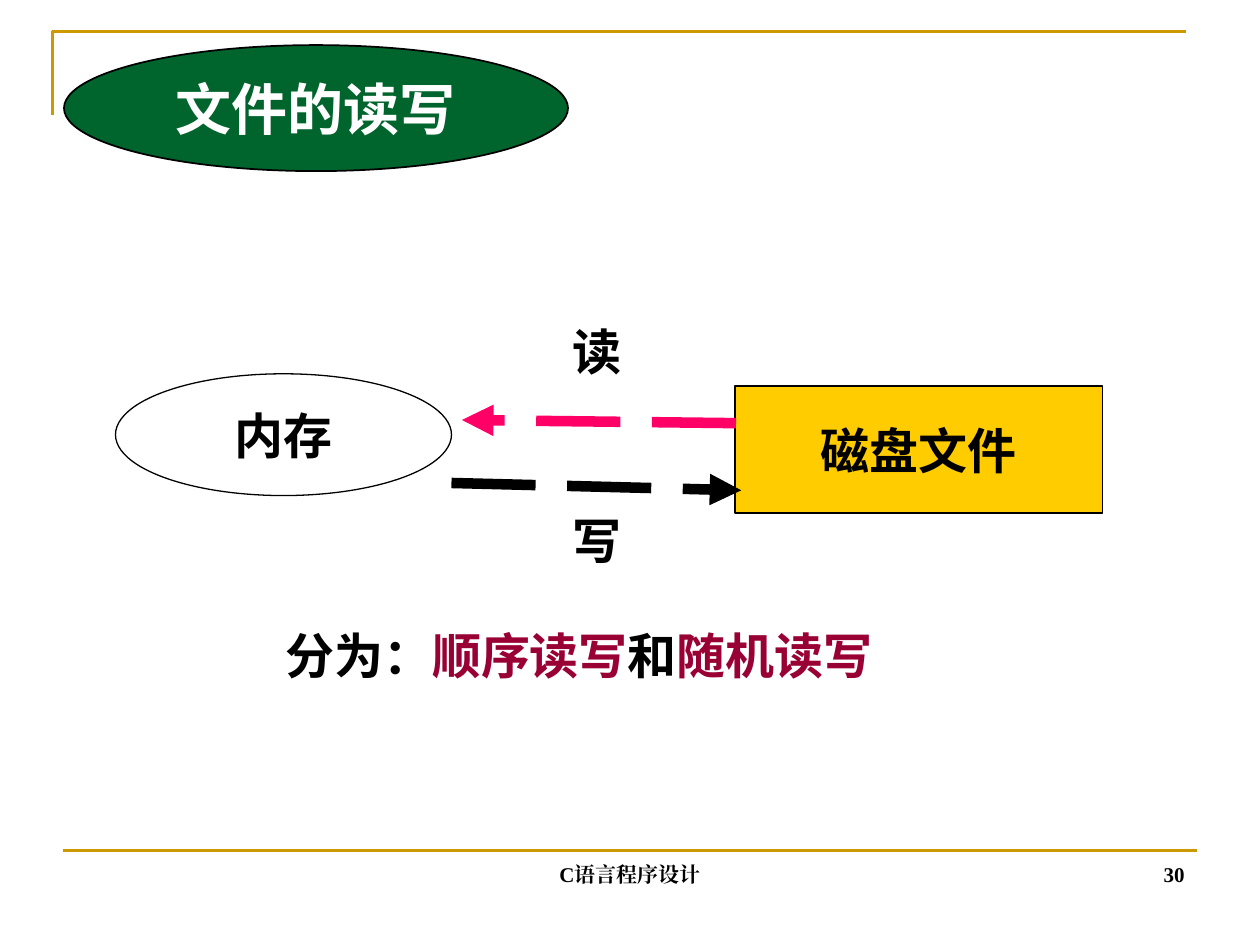
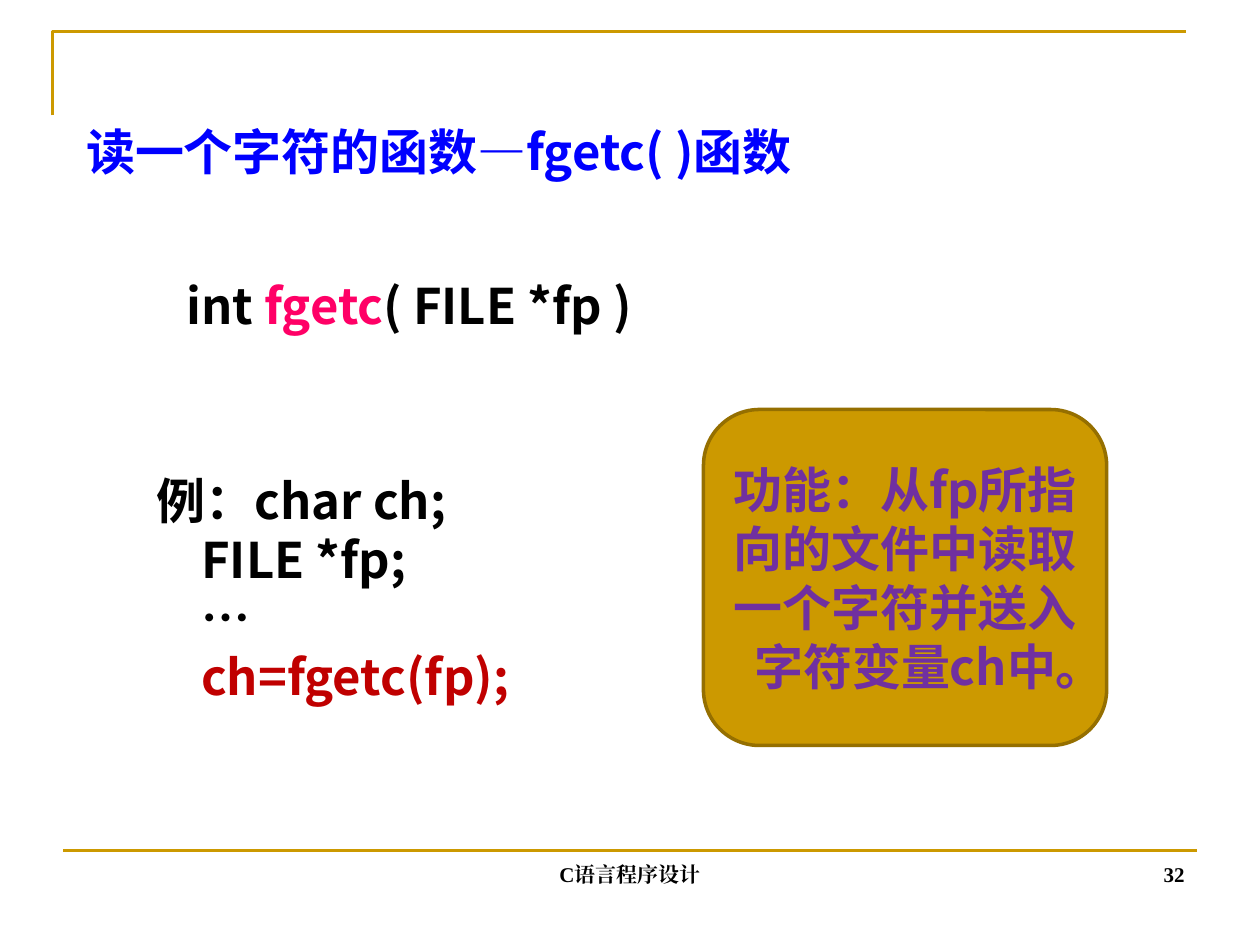
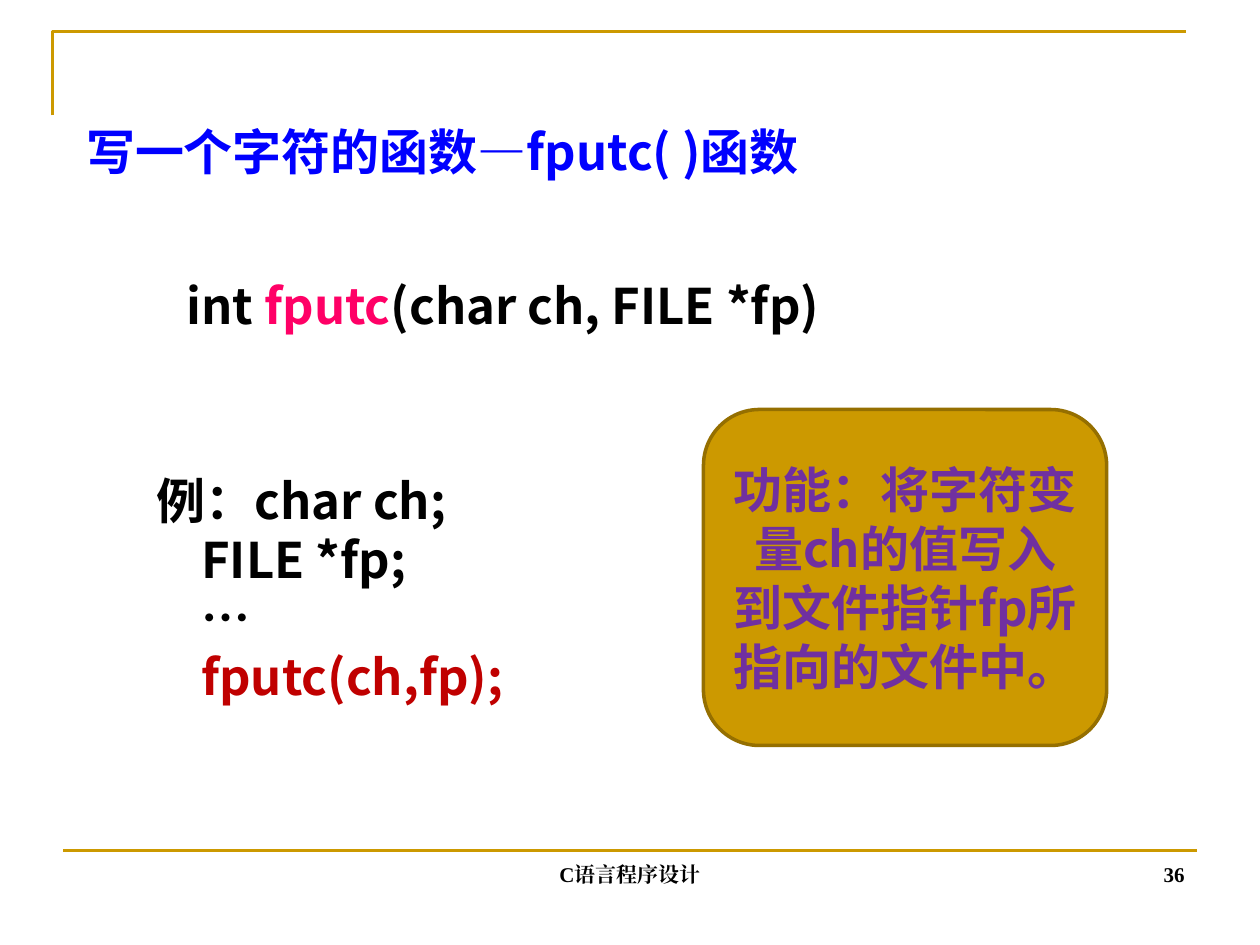
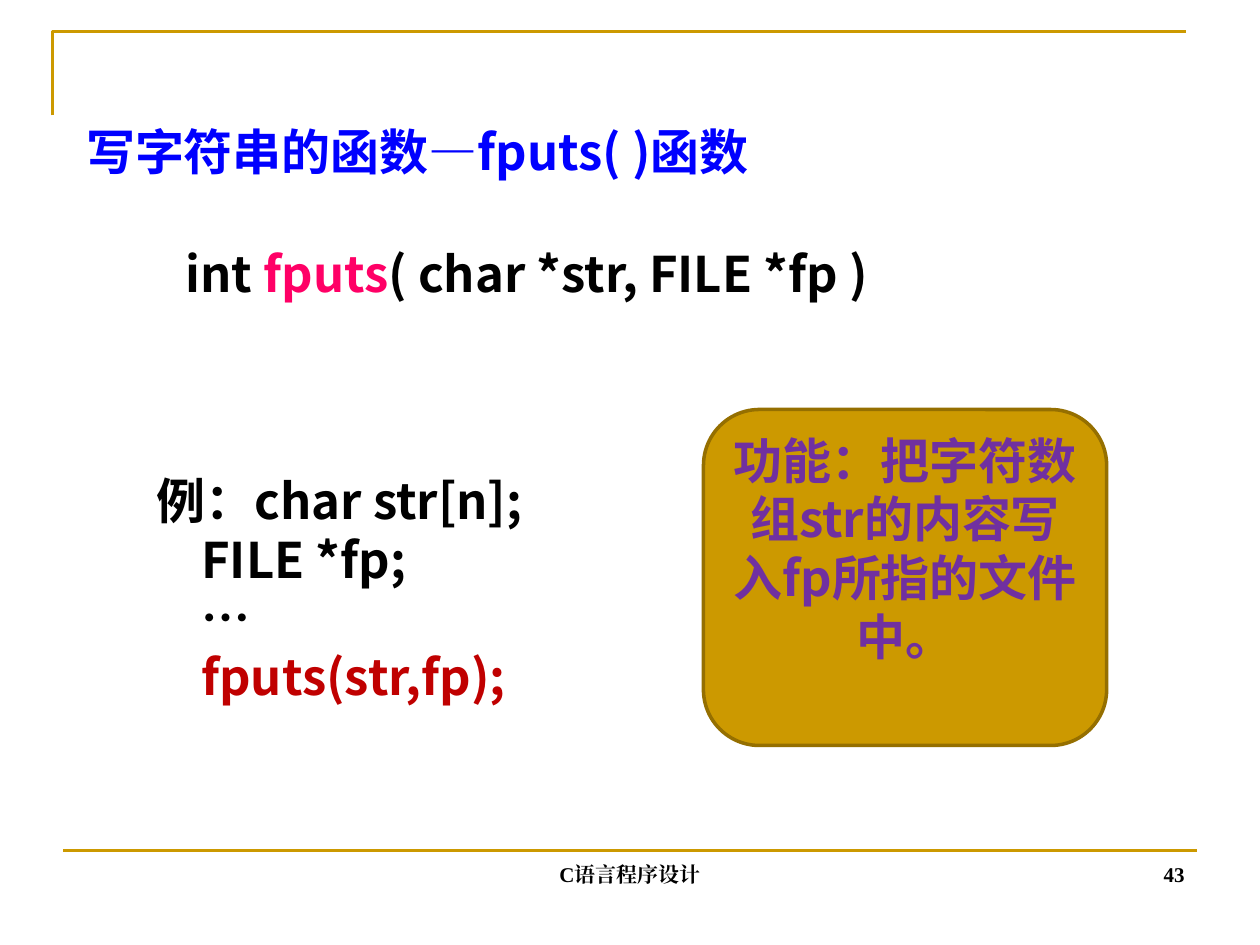
from lxml import etree
from pptx import Presentation, util as u
from pptx.dml.color import RGBColor
from pptx.enum import dml, shapes, text
from pptx.oxml.ns import qn

COLS, ROWS = 120, 90
CELL = u.Inches(10) // COLS
SANS, SONG, ARIAL, ROMAN = "Noto Sans CJK SC", "Noto Sans CJK JP", "Arial", "Times New Roman"
HUE = dict(gold="CC9900", rim="956F00", green="00642D", sun="FFCC00", white="FFFFFF",
           black="000000", pink="FF0066", wine="990033", blue="0000FF", red="C00000",
           plum="7030A0")
KIND = shapes.MSO_SHAPE
LEFT, MID, RIGHT = text.PP_ALIGN.LEFT, text.PP_ALIGN.CENTER, text.PP_ALIGN.RIGHT
TOP, CORE, LOW = text.MSO_ANCHOR.TOP, text.MSO_ANCHOR.MIDDLE, text.MSO_ANCHOR.BOTTOM


def rgb(name):
    """Return the named colour."""
    return RGBColor.from_string(HUE[name])


def cells(*nums):
    """Turn grid cells into lengths."""
    return [u.Emu(round(n * CELL)) for n in nums]


def inside(box, x, y, w, h):
    """Give an area by its offset from a box."""
    return box[0] + x, box[1] + y, w, h


def put(shape, lines, size=28, font=SANS, hue="black", align=LEFT, anchor=CORE, wrap=False):
    """Write lines of text, each a string or a list of (text, colour) runs."""
    frame = shape.text_frame
    frame.word_wrap, frame.vertical_anchor = wrap, anchor
    for i, line in enumerate(lines):
        para = frame.add_paragraph() if i else frame.paragraphs[0]
        para.alignment = align
        for words, tint in [(line, hue)] if isinstance(line, str) else line:
            run = para.add_run()
            run.text = words
            run.font.size, run.font.bold, run.font.name = u.Pt(size), True, font
            run.font.color.rgb = rgb(tint)
            east = etree.SubElement(run.font._element, qn("a:ea"))
            east.set("typeface", font)
    return shape


def shade(shape, fill=None, line=None, width=0.75):
    """Set the fill and outline of a shape."""
    shape.shadow.inherit = False
    if fill:
        shape.fill.solid()
        shape.fill.fore_color.rgb = rgb(fill)
    else:
        shape.fill.background()
    if line:
        shape.line.color.rgb, shape.line.width = rgb(line), u.Pt(width)
    else:
        shape.line.fill.background()
    return shape


def form(slide, kind, box, lines, fill=None, line=None, width=0.75, **fmt):
    """Add a preset shape with text."""
    shape = shade(slide.shapes.add_shape(kind, *cells(*box)), fill, line, width)
    return put(shape, lines, **fmt)


def label(slide, box, lines, **fmt):
    """Add a wrapped text box."""
    return put(slide.shapes.add_textbox(*cells(*box)), lines, wrap=True, **fmt)


def rule(slide, start, end, hue, width, arrow=False):
    """Draw a straight line, or a dashed arrow."""
    link = slide.shapes.add_connector(shapes.MSO_CONNECTOR.STRAIGHT, *cells(*start, *end))
    link.line.color.rgb, link.line.width = rgb(hue), u.Pt(width)
    if arrow:
        link.line.dash_style = dml.MSO_LINE.LONG_DASH
        etree.SubElement(link.line._get_or_add_ln(), qn("a:tailEnd")).set("type", "triangle")
    etree.SubElement(link.element.spPr, qn("a:effectLst"))
    return link


def frame(deck, slide):
    """Draw the shared gold lines and move them to the master."""
    pen = slide.shapes.build_freeform(*cells(5, 11))
    pen.add_line_segments([cells(5, 3), cells(113, 3)], close=False)
    bracket = shade(pen.convert_to_shape(), line="gold", width=1.5)
    base = rule(slide, (6, 81), (114, 81), "gold", 1.5)
    for i, part in enumerate((bracket, base)):
        part.element.xpath(".//p:cNvPr")[0].set("id", str(100 + i))
        deck.slide_master.shapes.element.append(part.element)


def foot(slide, page):
    """Add the course name and page number."""
    fmt = dict(size=12, font=ROMAN, anchor=LOW)
    label(slide, (41, 79, 38, 6), ["C语言程序设计"], align=MID, **fmt)
    label(slide, (86, 79, 28, 6), [str(page)], align=RIGHT, **fmt)


def flow(slide, box):
    """Draw memory and disk file with the read and write arrows."""
    x, y = box[:2]
    fmt = dict(font=ARIAL, align=MID)
    form(slide, KIND.OVAL, inside(box, 0, 5.6, 32, 11.6), ["内存"], "white", "black", **fmt)
    form(slide, KIND.RECTANGLE, inside(box, 59, 6.75, 35, 12.1), ["磁盘文件"],
         "sun", "black", **fmt)
    rule(slide, (x + 32, y + 16), (x + 59.6, y + 16.7), "black", 6, arrow=True)
    rule(slide, (x + 59.1, y + 10.3), (x + 33, y + 10), "pink", 6, arrow=True)
    for word, row in (("读", 0), ("写", 18)):
        label(slide, inside(box, 39.4, row, 13, 6.8), [word], anchor=TOP, **fmt)
    label(slide, inside(box, 15, 29, 79, 6.8),
          [[("分为：", "black"), ("顺序读写", "wine"), ("和", "black"), ("随机读写", "wine")]],
          font=ARIAL, anchor=TOP)


def topic(slide, page):
    """Fill the slide that introduces reading and writing."""
    form(slide, KIND.OVAL, (6.1, 4.3, 48, 12), ["文件的读写"], "green", "black", 1,
         size=32, hue="white", align=MID)
    flow(slide, (11, 30, 94, 36))
    foot(slide, page)


def sample(slide, box, decl, call, use, pad):
    """Show the sample code beside the note on its use."""
    code = [f"例：{decl}", "    FILE *fp;", "    …", [(f"    {call}", "red")]]
    form(slide, KIND.ROUNDED_RECTANGLE, inside(box, 0, 0, 49, 36), code)
    note = form(slide, KIND.ROUNDED_RECTANGLE, inside(box, 55, 1, 38.4, 32), [f"功能：{use}"],
                "gold", "rim", 2, font=SONG, hue="plum", align=MID, wrap=True)
    note.text_frame.margin_bottom = u.Inches(pad)


def lesson(slide, page, task, name, args, decl, call, use, area=(16, 23, 84, 12), pad=0.05):
    """Fill a slide that explains one file function."""
    title = slide.shapes.title
    title.left, title.top, title.width, title.height = cells(7, 11, 86.9, 6.8)
    put(title, [f"{task}的函数—{name}( )函数"], hue="blue", anchor=TOP, wrap=True)
    form(slide, KIND.ROUNDED_RECTANGLE, area,
         [[("int ", "black"), (name, "pink"), (args, "black")]])
    sample(slide, (12, 38, 93.4, 36), decl, call, use, pad)
    foot(slide, page)


LESSONS = [
    dict(page=32, task="读一个字符", name="fgetc", args="( FILE *fp )", decl="char ch;",
         call="ch=fgetc(fp);", use="从fp所指向的文件中读取一个字符并送入字符变量ch中。"),
    dict(page=36, task="写一个字符", name="fputc", args="(char ch, FILE *fp)", decl="char ch;",
         call="fputc(ch,fp);", use="将字符变量ch的值写入到文件指针fp所指向的文件中。"),
    dict(page=43, task="写字符串", name="fputs", args="( char *str, FILE *fp )",
         decl="char str[n];", call="fputs(str,fp);",
         use="把字符数组str的内容写入fp所指的文件中。", area=(16, 21, 100, 10), pad=0.52),
]


def main():
    """Build and save the slides."""
    deck = Presentation()
    deck.slide_width, deck.slide_height = cells(COLS, ROWS)
    plain = deck.slide_layouts.get_by_name("Blank")
    titled = deck.slide_layouts.get_by_name("Title Only")
    first = deck.slides.add_slide(plain)
    frame(deck, first)
    topic(first, 30)
    for facts in LESSONS:
        lesson(deck.slides.add_slide(titled), **facts)
    deck.save("out.pptx")


if __name__ == "__main__":
    main()
